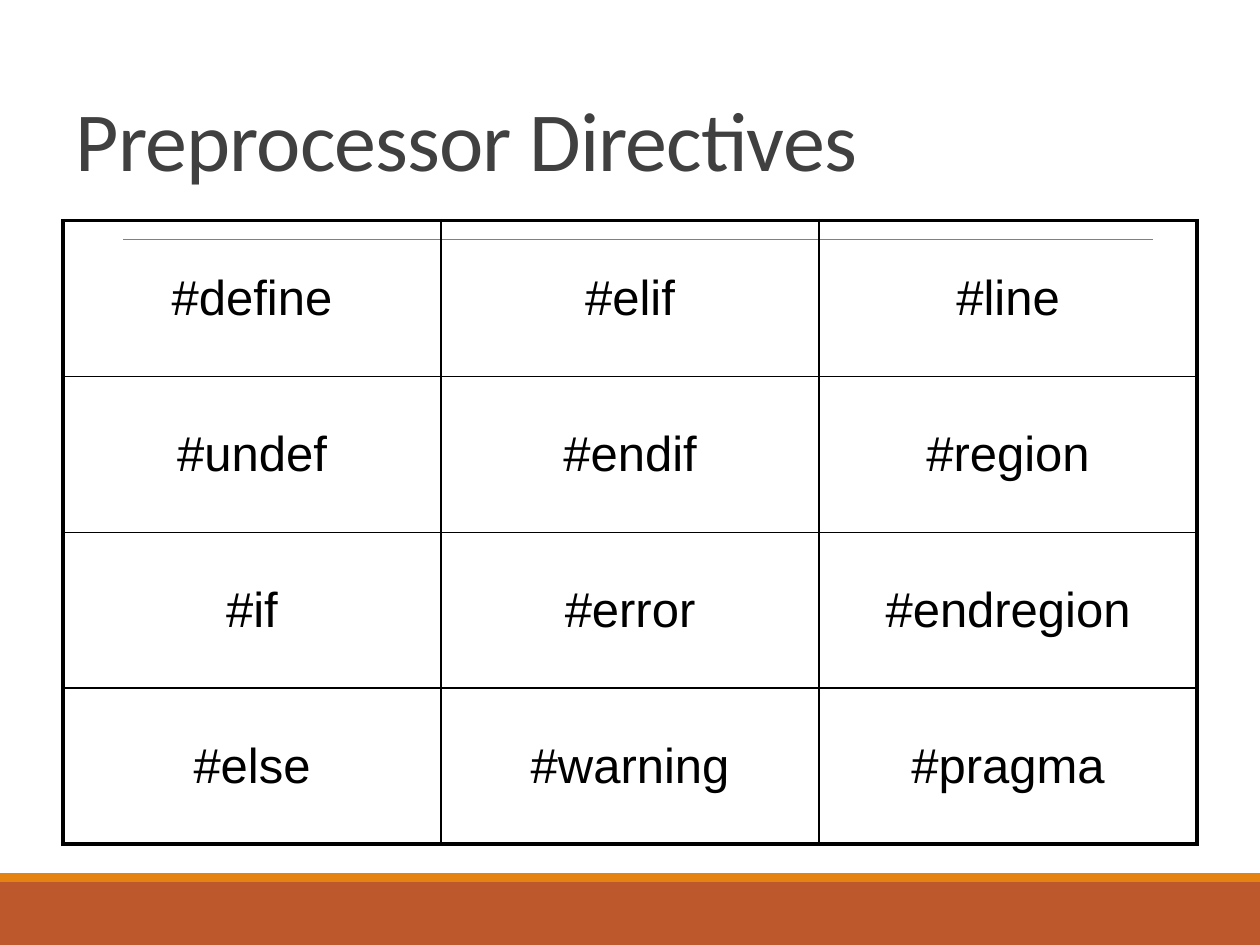
from pptx import Presentation
from pptx.util import Inches, Pt
from pptx.dml.color import RGBColor as RGB
from pptx.enum.shapes import MSO_CONNECTOR as LINE, MSO_SHAPE as SHAPE
from pptx.enum.text import MSO_ANCHOR as ANCHOR, MSO_AUTO_SIZE as FIT, PP_ALIGN as ALIGN
from pptx.oxml.ns import qn
from lxml.etree import SubElement

THEME = {
    "title": {"name": "Calibri", "size": Pt(48), "bold": False, "color": "404040"},
    "cell": {"name": "Arial", "size": Pt(28), "bold": False, "color": "000000"},
    "band": "BD582C", "strip": "E48312", "rule": "808080", "border": "000000",
    "thin": Pt(1), "thick": Pt(2.25),
}
ROWS = [
    ["#define", "#elif", "#line"],
    ["#undef", "#endif", "#region"],
    ["#if", "#error", "#endregion"],
    ["#else", "#warning", "#pragma"],
]


def style(font, look):
    for key, val in look.items():
        if key == "color":
            font.color.rgb = RGB.from_string(val)
        else:
            setattr(font, key, val)


def edge(cell, side, width):
    """Draw one border of a table cell; side is L, R, T or B."""
    line = SubElement(cell._tc.get_or_add_tcPr(), qn(f"a:ln{side}"), w=str(width))
    fill = SubElement(line, qn("a:solidFill"))
    SubElement(fill, qn("a:srgbClr"), val=THEME["border"])


deck = Presentation()
deck.slide_width, deck.slide_height = Inches(10), Inches(7.5)
wide, high = deck.slide_width, deck.slide_height
unit = wide // 20  # the slide is 20 columns by 15 rows
slide = deck.slides.add_slide(deck.slide_layouts[5])

# Footer bands
foot = 14 * unit
thin = Inches(0.07)
for top, tall, color in [(foot, high - foot, "band"), (foot - thin, thin, "strip")]:
    bar = slide.shapes.add_shape(SHAPE.RECTANGLE, 0, top, wide, tall)
    bar.shadow.inherit = False
    bar.fill.solid()
    bar.fill.fore_color.rgb = RGB.from_string(THEME[color])
    bar.line.fill.background()

# Rule under the title
level = Inches(1.9)
rule = slide.shapes.add_connector(LINE.STRAIGHT, Inches(0.98), level, Inches(9.15), level)
rule.line.color.rgb = RGB.from_string(THEME["rule"])
rule.line.width = Pt(0.5)
SubElement(rule._element.spPr, qn("a:effectLst"))

# Title
title = slide.shapes.title
box = {"left": unit, "top": Inches(0.3), "width": 18 * unit, "height": Inches(1.25)}
for key, val in box.items():
    setattr(title, key, val)
frame = title.text_frame
frame.text = "Preprocessor Directives"
frame.word_wrap = True
frame.auto_size = FIT.NONE
frame.vertical_anchor = ANCHOR.BOTTOM
para = frame.paragraphs[0]
para.alignment = ALIGN.LEFT
para.line_spacing = 0.85
run = para.runs[0]
style(run.font, THEME["title"])
run._r.get_or_add_rPr().set("spc", "-50")

# Table of directives
count, span = len(ROWS), len(ROWS[0])
table = slide.shapes.add_table(
    count, span, unit, Inches(1.75), 18 * unit, Inches(4.95)).table
table.first_row = table.horz_banding = False
for r, names in enumerate(ROWS):
    for c, name in enumerate(names):
        cell = table.cell(r, c)
        cell.text = name
        cell.vertical_anchor = ANCHOR.MIDDLE
        para = cell.text_frame.paragraphs[0]
        para.alignment = ALIGN.CENTER
        style(para.runs[0].font, THEME["cell"])
        outer = {"L": c == 0, "R": c == span - 1, "T": r == 0, "B": r == count - 1}
        for side, rim in outer.items():
            edge(cell, side, THEME["thick" if rim else "thin"])
        cell.fill.background()

deck.save("out.pptx")
